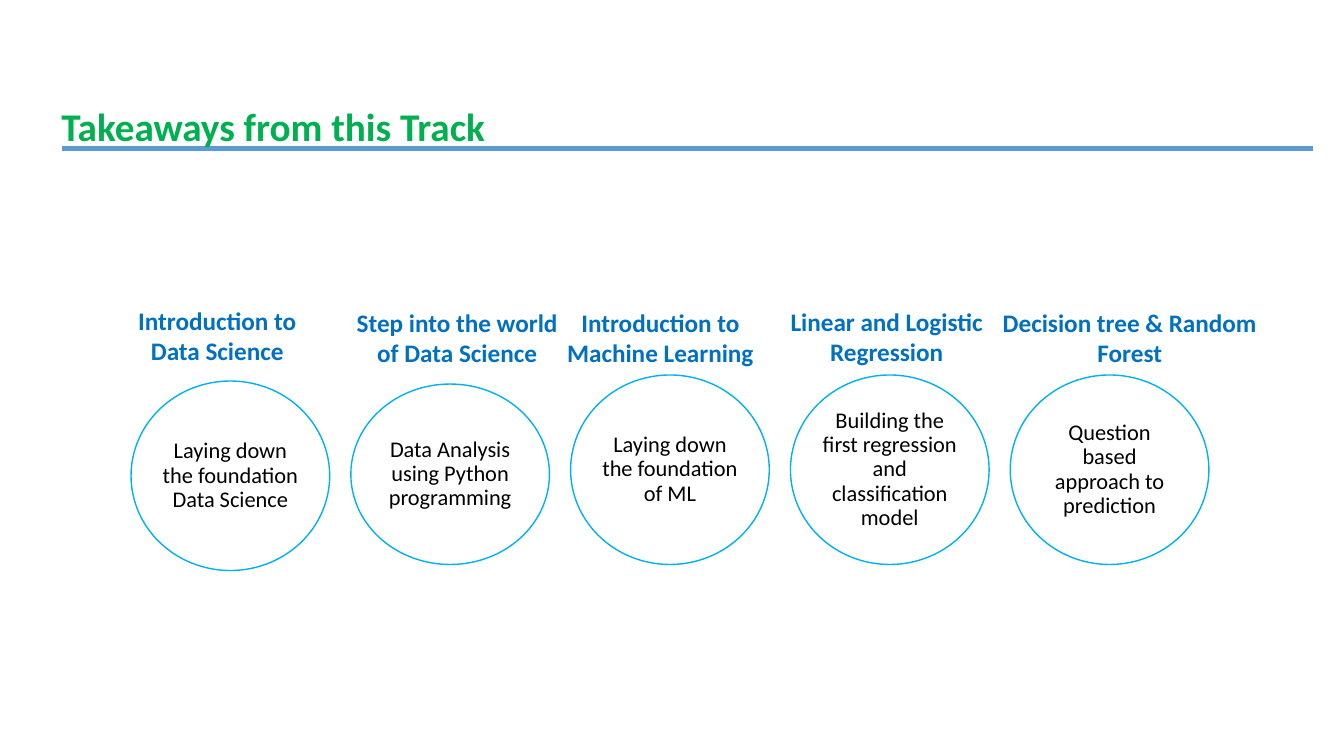
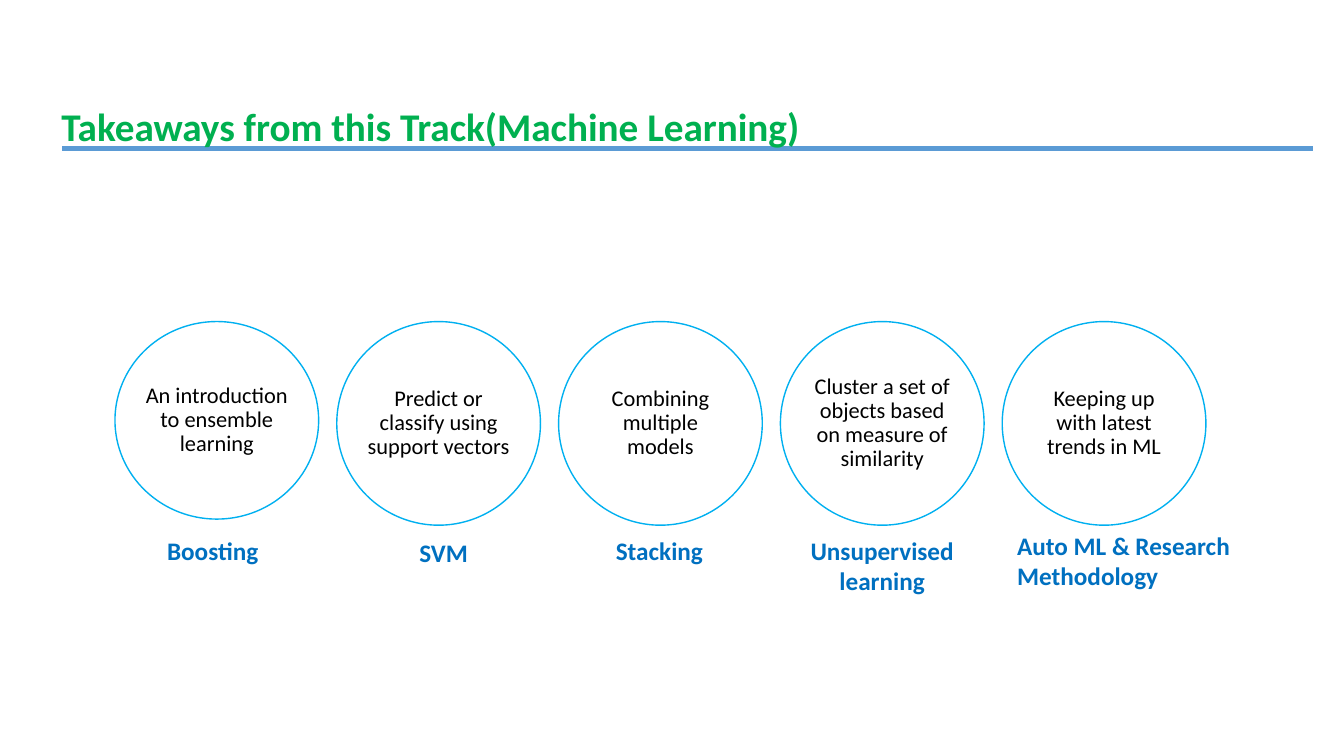
from dataclasses import dataclass

from pptx import Presentation, util as u
from pptx.dml.color import RGBColor
from pptx.enum import shapes, text

LEFT, CENTER = text.PP_ALIGN.LEFT, text.PP_ALIGN.CENTER
TOP, MIDDLE = text.MSO_ANCHOR.TOP, text.MSO_ANCHOR.MIDDLE

# Content: each topic is (heading, (left, top, width) of heading, alignment,
#                         takeaway, (top, height) of circle)
SLIDES = [
    {
        "title": "Takeaways from this Track",
        "first": 1.3, "pitch": 2.18, "circle_w": 1.97, "heading_h": 0.71,
        "topics": [
            ("Introduction to Data Science", (1.1, 2.98, 2.11), CENTER,
             "Laying down the foundation Data Science", (3.78, 1.88)),
            ("Step into the world of Data Science", (3.42, 3, 2.23), CENTER,
             "Data Analysis using Python programming", (3.81, 1.79)),
            ("Introduction to Machine Learning", (5.42, 3, 2.26), CENTER,
             "Laying down the foundation of ML", (3.72, 1.88)),
            ("Linear and Logistic Regression", (7.66, 2.99, 2.27), CENTER,
             "Building the first regression and classification model", (3.72, 1.88)),
            ("Decision tree & Random Forest", (9.68, 3, 3.05), CENTER,
             "Question based approach to prediction", (3.72, 1.88)),
        ],
    },
    {
        "title": "Takeaways from this Track(Machine Learning)",
        "first": 1.14, "pitch": 2.2, "circle_w": 2.02, "heading_h": 0.4,
        "topics": [
            ("Boosting", (0.96, 5.26, 2.3), CENTER,
             "An introduction to ensemble learning", (3.19, 1.96)),
            ("SVM", (3.36, 5.28, 2.08), CENTER,
             "Predict or classify using support vectors", (3.19, 2.02)),
            ("Stacking", (5.5, 5.26, 2.08), CENTER,
             "Combining multiple models", (3.19, 2.02)),
            ("Unsupervised learning", (7.71, 5.26, 2.08), CENTER,
             "Cluster a set of objects based on measure of similarity", (3.19, 2.02)),
            ("Auto ML & Research Methodology", (9.99, 5.21, 2.85), LEFT,
             "Keeping up with latest trends in ML", (3.19, 2.02)),
        ],
    },
]


@dataclass(frozen=True)
class Theme:
    font: str = "Calibri"
    title: str = "00B050"
    heading: str = "0070C0"
    body: str = "000000"
    rule: str = "5B9BD5"
    outline: str = "00B0F0"
    paper: str = "FFFFFF"
    title_pt: int = 28
    heading_pt: int = 18
    body_pt: int = 16


T = Theme()


def write(sp, words, size, color, bold=False, align=LEFT, anchor=TOP):
    tf = sp.text_frame
    tf.word_wrap = True
    tf.vertical_anchor = anchor
    tf.text = words
    p = tf.paragraphs[0]
    p.alignment = align
    font = p.runs[0].font
    font.name, font.size, font.bold = T.font, u.Pt(size), bold
    font.color.rgb = RGBColor.from_string(color)
    return tf


def add_shape(s, kind, box, fill, line):
    sp = s.shapes.add_shape(kind, *map(u.Inches, box))
    sp.shadow.inherit = False
    sp.fill.solid()
    sp.fill.fore_color.rgb = RGBColor.from_string(fill)
    sp.line.color.rgb = RGBColor.from_string(line)
    sp.line.width = u.Pt(1)
    return sp


def add_label(s, box, words, size, color, align=LEFT):
    sp = s.shapes.add_textbox(*map(u.Inches, box))
    write(sp, words, size, color, True, align)


def add_circle(s, box, words):
    sp = add_shape(s, shapes.MSO_SHAPE.OVAL, box, T.paper, T.outline)
    tf = write(sp, words, T.body_pt, T.body, align=CENTER, anchor=MIDDLE)
    tf.margin_left = tf.margin_right = tf.margin_top = tf.margin_bottom = 0
    tf.paragraphs[0].line_spacing = 0.9


def build_slide(prs, data):
    s = prs.slides.add_slide(prs.slide_layouts[6])
    # Title over its rule
    add_shape(s, shapes.MSO_SHAPE.RECTANGLE, (0.61, 1.44, 12.42, 0.07), T.rule, T.paper)
    add_label(s, (0.51, 0.97, 9.58, 0.57), data["title"], T.title_pt, T.title)
    # Row of circles with headings
    for i, (heading, place, align, takeaway, (top, height)) in enumerate(data["topics"]):
        left = data["first"] + i * data["pitch"]
        add_circle(s, (left, top, data["circle_w"], height), takeaway)
        add_label(s, (*place, data["heading_h"]), heading, T.heading_pt, T.heading, align)


def main():
    prs = Presentation()
    prs.slide_width, prs.slide_height = u.Inches(13.33), u.Inches(7.5)
    for data in SLIDES:
        build_slide(prs, data)
    prs.save("out.pptx")


if __name__ == "__main__":
    main()
